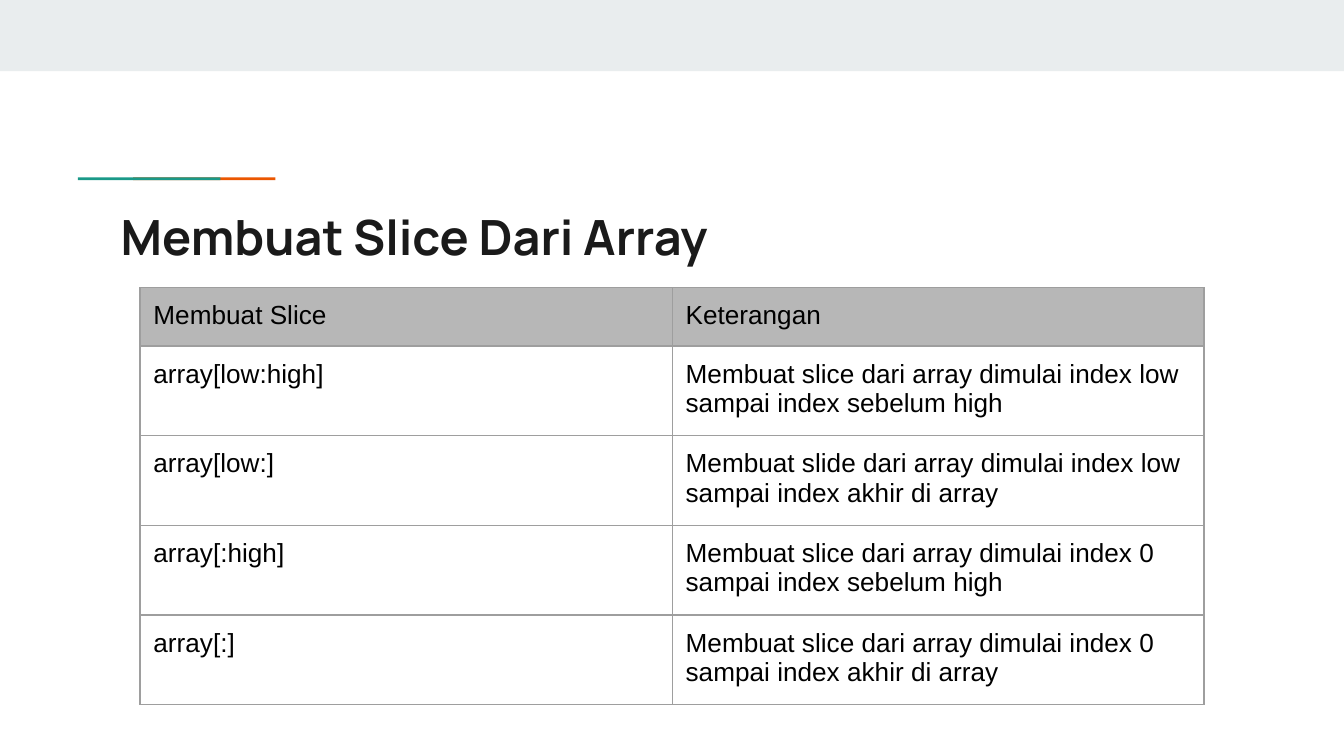
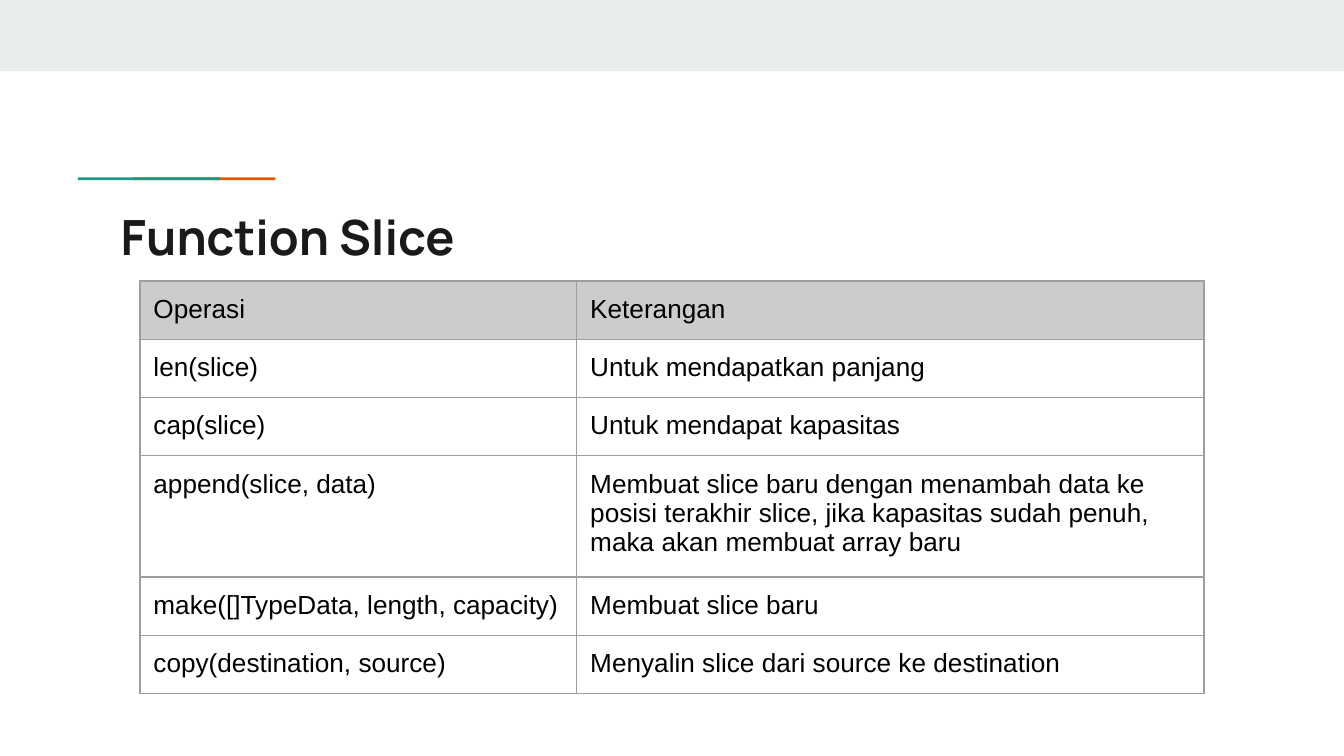
from lxml.etree import SubElement
from pptx import Presentation
from pptx.dml.color import RGBColor
from pptx.enum.shapes import MSO_SHAPE
from pptx.enum.text import MSO_ANCHOR
from pptx.oxml.ns import qn
from pptx.util import Inches, Pt

BAND = RGBColor(0xE9, 0xED, 0xEE)
ORANGE = RGBColor(0xEB, 0x56, 0x00)
TEAL = RGBColor(0x1A, 0x99, 0x88)
TITLE_INK = RGBColor(0x1A, 0x1A, 0x1A)
CELL_INK = RGBColor(0, 0, 0)
GRID_GREY = "9E9E9E"

TITLE_FONT, TABLE_FONT = "Manrope", "Arial"
INSET = Inches(0.1)
TABLE_LEFT, TABLE_WIDTH = Pt(75), Pt(570)
ROW_HEIGHT = Pt(30)
FRAME_SIDE = Inches(3.28)

# title, table top, first column width, header colour, rows
LESSONS = [
    ("Membuat Slice Dari Array", 2.14, 3.96, RGBColor(0xB7, 0xB7, 0xB7), [
        ("Membuat Slice", "Keterangan"),
        ("array[low:high]",
         "Membuat slice dari array dimulai index low sampai index sebelum high"),
        ("array[low:]",
         "Membuat slide dari array dimulai index low sampai index akhir di array"),
        ("array[:high]",
         "Membuat slice dari array dimulai index 0 sampai index sebelum high"),
        ("array[:]",
         "Membuat slice dari array dimulai index 0 sampai index akhir di array"),
    ]),
    ("Function Slice", 2.09, 3.25, RGBColor(0xCC, 0xCC, 0xCC), [
        ("Operasi", "Keterangan"),
        ("len(slice)", "Untuk mendapatkan panjang"),
        ("cap(slice)", "Untuk mendapat kapasitas"),
        ("append(slice, data)",
         "Membuat slice baru dengan menambah data ke posisi terakhir slice, "
         "jika kapasitas sudah penuh, maka akan membuat array baru"),
        ("make([]TypeData, length, capacity)", "Membuat slice baru"),
        ("copy(destination, source)", "Menyalin slice dari source ke destination"),
    ]),
]


def set_text(frame, text, font_name, size, colour, bold=False):
    frame.text = text
    font = frame.paragraphs[0].runs[0].font
    font.name, font.size, font.bold = font_name, Pt(size), bold
    font.color.rgb = colour


def outline_cell(cell):
    properties = cell._tc.get_or_add_tcPr()
    for side in ("a:lnL", "a:lnR", "a:lnT", "a:lnB"):
        line = SubElement(properties, qn(side), w=str(Pt(0.75)))
        fill = SubElement(line, qn("a:solidFill"))
        SubElement(fill, qn("a:srgbClr"), val=GRID_GREY)


prs = Presentation()
prs.slide_width = Inches(10)
prs.slide_height = prs.slide_width * 9 // 16

for title, table_top, first_width, header_colour, rows in LESSONS:
    slide = prs.slides.add_slide(prs.slide_layouts[6])

    # Top band, then two overlapping accent strokes with teal in front
    for left, top, width, height, colour in (
        (0, 0, 10, 0.53, BAND),
        (0.99, 1.32, 1.06, 0.02, ORANGE),
        (0.58, 1.32, 1.06, 0.02, TEAL),
    ):
        bar = slide.shapes.add_shape(
            MSO_SHAPE.RECTANGLE,
            Inches(left), Inches(top), Inches(width), Inches(height))
        bar.shadow.inherit = False
        bar.fill.solid()
        bar.fill.fore_color.rgb = colour
        bar.line.fill.background()

    heading = slide.shapes.add_textbox(
        Inches(0.8), Inches(1.44), Inches(8.41), Inches(0.59)).text_frame
    heading.word_wrap = True
    heading.vertical_anchor = MSO_ANCHOR.TOP
    heading.margin_left = heading.margin_right = INSET
    heading.margin_top = heading.margin_bottom = INSET
    set_text(heading, title, TITLE_FONT, 26, TITLE_INK, bold=True)

    table_frame = slide.shapes.add_table(
        len(rows), 2, TABLE_LEFT, Inches(table_top), FRAME_SIDE, FRAME_SIDE)
    table = table_frame.table
    table.first_row = table.horz_banding = False
    table.columns[0].width = Inches(first_width)
    table.columns[1].width = TABLE_WIDTH - Inches(first_width)

    for r, row in enumerate(rows):
        table.rows[r].height = ROW_HEIGHT
        for c, text in enumerate(row):
            cell = table.cell(r, c)
            cell.margin_left = cell.margin_right = INSET
            cell.margin_top = cell.margin_bottom = INSET
            set_text(cell.text_frame, text, TABLE_FONT, 14, CELL_INK)
            outline_cell(cell)
            if r == 0:
                cell.fill.solid()
                cell.fill.fore_color.rgb = header_colour
            else:
                cell.fill.background()

    # Column and row sizes reset the frame, so its own size comes last
    table_frame.width = table_frame.height = FRAME_SIDE

prs.save("out.pptx")
